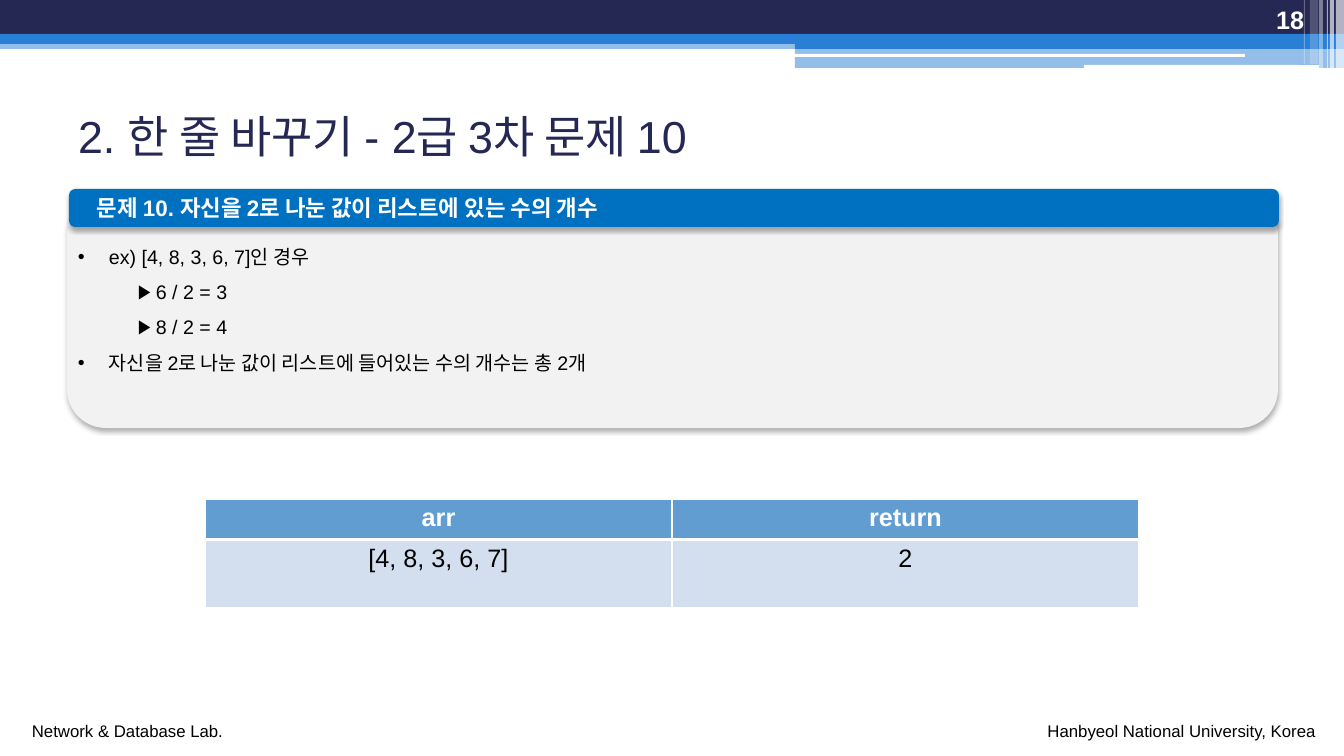
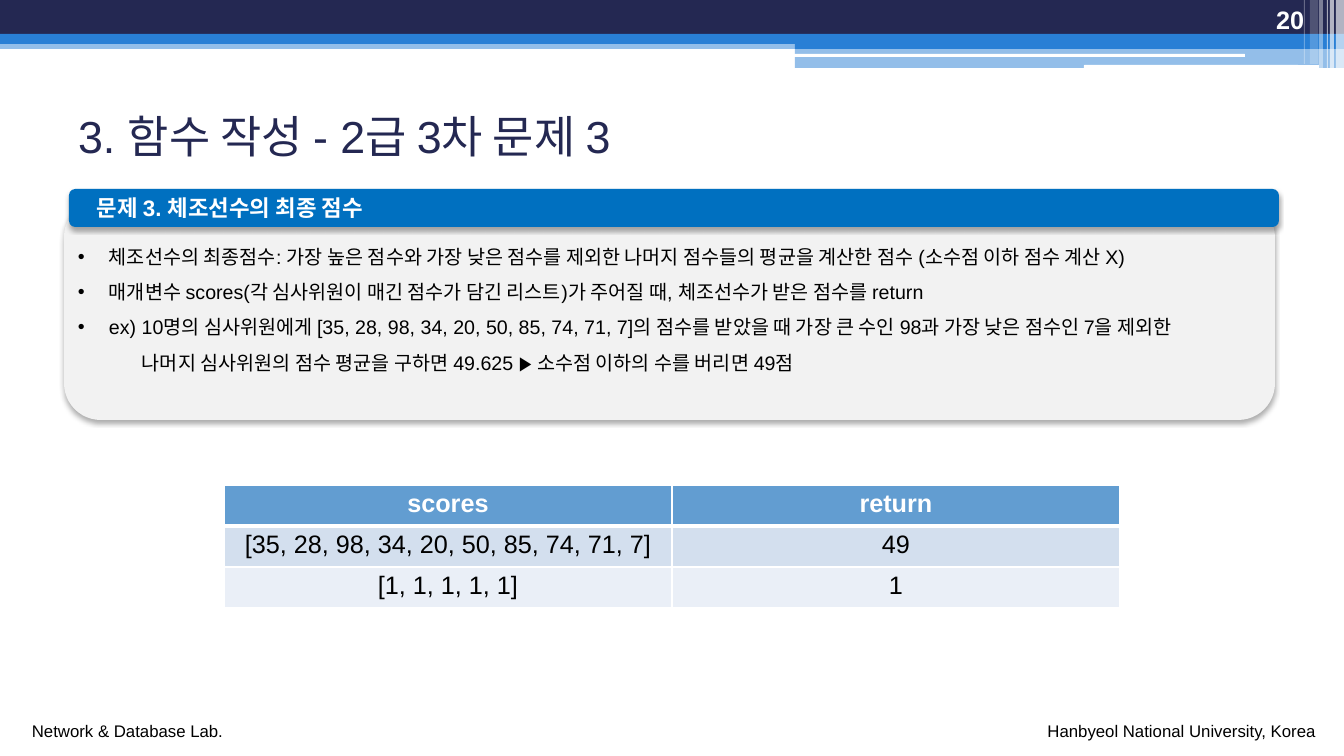
from dataclasses import dataclass

from lxml import etree
from pptx import Presentation
from pptx import util as u
from pptx.dml.color import RGBColor
from pptx.enum import shapes, text
from pptx.oxml.ns import qn

SLIDE_W, SLIDE_H = 1344, 756
SCALE = 12192000 / SLIDE_W
RECT = shapes.MSO_SHAPE.RECTANGLE
ROUND = shapes.MSO_SHAPE.ROUNDED_RECTANGLE
LEFT, CENTER, RIGHT = (text.PP_ALIGN.LEFT, text.PP_ALIGN.CENTER,
                       text.PP_ALIGN.RIGHT)
TOP, MIDDLE, BOTTOM = (text.MSO_ANCHOR.TOP, text.MSO_ANCHOR.MIDDLE,
                       text.MSO_ANCHOR.BOTTOM)


@dataclass(frozen=True)
class Theme:
    font: str = "Arial"
    navy: str = "242852"
    blue: str = "297FD5"
    heading: str = "0070C0"
    panel: str = "F2F2F2"
    table_head: str = "629DD1"
    table_rows: tuple = ("D3DFEE", "EAEFF7")
    white: str = "FFFFFF"
    black: str = "000000"
    title_size: int = 32
    table_size: int = 18
    number_size: int = 18
    heading_size: int = 16
    body_size: int = 14
    footer_size: int = 12


T = Theme()

# paragraph kind: left margin, first-line indent, bullet
KINDS = {
    "item": (31, -31, "•"),
    "step": (78, -18, "▶"),
    "more": (64, 0, None),
}

# left, top, width, height, colour, opacity in percent, shape
BANDS = [
    (0, 40, SLIDE_W, 9, T.blue, 50, RECT),
    (0, 0, SLIDE_W, 34, T.navy, 100, RECT),
    (0, 34, SLIDE_W, 10, T.blue, 100, RECT),
    (795, 39, 549, 10, T.blue, 100, RECT),
    (795, 49, 549, 19, T.blue, 50, RECT),
    (794, 54, 451, 3, T.white, 100, ROUND),
    (1084, 65, 235, 4, T.white, 100, ROUND),
]
# left, width, height, opacity in percent
STRIPES = [(1336, 8, 68, 65), (1330, 4, 68, 65), (1327, 1, 68, 60),
           (1319, 4, 68, 40), (1310, 8, 64, 20), (1304, 1, 64, 30)]

FOOTERS = [
    ((22, 716, 213, 30), "Network & Database Lab.", LEFT),
    ((1030, 716, 296, 30), "Hanbyeol National University, Korea", RIGHT),
]

PROBLEMS = [
    dict(
        number="18",
        title="2. 한 줄 바꾸기 - 2급 3차 문제 10",
        heading="문제 10. 자신을 2로 나눈 값이 리스트에 있는 수의 개수",
        panel=(67, 195, 1211, 233),
        body=[
            ("item", "ex) [4, 8, 3, 6, 7]인 경우"),
            ("step", "6 / 2 = 3"),
            ("step", "8 / 2 = 4"),
            ("item", "자신을 2로 나눈 값이 리스트에 들어있는 수의 개수는 총 2개"),
        ],
        table_box=(205, 499, 934),
        row_heights=[40, 68],
        rows=[("arr", "return"), ("[4, 8, 3, 6, 7]", "2")],
    ),
    dict(
        number="20",
        title="3. 함수 작성 - 2급 3차 문제 3",
        heading="문제 3. 체조선수의 최종 점수",
        panel=(64, 200, 1211, 220),
        body=[
            ("item", "체조선수의 최종점수: 가장 높은 점수와 가장 낮은 점수를 제외한 "
                     "나머지 점수들의 평균을 계산한 점수 (소수점 이하 점수 계산 X)"),
            ("item", "매개변수 scores(각 심사위원이 매긴 점수가 담긴 리스트)가 "
                     "주어질 때, 체조선수가 받은 점수를 return"),
            ("item", "ex) 10명의 심사위원에게 [35, 28, 98, 34, 20, 50, 85, 74, 71, 7]의 "
                     "점수를 받았을 때 가장 큰 수인 98과 가장 낮은 점수인 7을 제외한"),
            ("more", "나머지 심사위원의 점수 평균을 구하면 49.625 ▶ "
                     "소수점 이하의 수를 버리면 49점"),
        ],
        table_box=(224, 485, 896),
        row_heights=[41, 41, 41],
        rows=[("scores", "return"),
              ("[35, 28, 98, 34, 20, 50, 85, 74, 71, 7]", "49"),
              ("[1, 1, 1, 1, 1]", "1")],
    ),
]


def px(n):
    return u.Emu(round(n * SCALE))


def add_xml(parent, tag, **attrs):
    child = etree.SubElement(parent, qn(tag))
    for name, value in attrs.items():
        child.set(name, str(value))
    return child


def write(p, words, size, color, bold=False, align=LEFT):
    p.alignment = align
    r = p.add_run()
    r.text = words
    for name, value in dict(name=T.font, size=u.Pt(size), bold=bold).items():
        setattr(r.font, name, value)
    r.font.color.rgb = RGBColor.from_string(color)


def add_block(parts, box, color, opacity=100, kind=RECT):
    sp = parts.add_shape(kind, *map(px, box))
    sp.shadow.inherit = False
    sp.line.fill.background()
    sp.fill.solid()
    sp.fill.fore_color.rgb = RGBColor.from_string(color)
    if opacity < 100:
        clr = sp.fill._xPr.find(qn("a:solidFill"))[0]
        add_xml(clr, "a:alpha", val=opacity * 1000)
    return sp


def add_card_block(parts, box, color):
    """Rounded block with a soft shadow below it."""
    sp = add_block(parts, box, color, kind=ROUND)
    effects = sp._element.spPr.find(qn("a:effectLst"))
    shadow = add_xml(effects, "a:outerShdw", blurRad=u.Pt(3.5),
                     dist=u.Pt(2.2), dir=90 * 60000, rotWithShape=0)
    clr = add_xml(shadow, "a:srgbClr", val=T.black)
    add_xml(clr, "a:alpha", val=32000)
    return sp


def add_label(parts, box, words, size, color, bold=False, align=LEFT,
              anchor=TOP, wrap=True):
    tf = parts.add_textbox(*map(px, box)).text_frame
    tf.word_wrap = wrap
    tf.vertical_anchor = anchor
    write(tf.paragraphs[0], words, size, color, bold, align)


def add_frame(s, number):
    """Bands, stripes, page number and footers common to all slides."""
    for *box, color, opacity, kind in BANDS:
        add_block(s.shapes, box, color, opacity, kind)
    for left, width, height, opacity in STRIPES:
        add_block(s.shapes, (left, 0, width, height), T.white, opacity)
    for box, words, align in FOOTERS:
        add_label(s.shapes, box, words, T.footer_size, T.black,
                  align=align, wrap=False)
    add_label(s.shapes, (1202, 0, 112, 40), number, T.number_size, T.white,
              bold=True, align=RIGHT, anchor=BOTTOM)


def set_title(s, box, words):
    title = s.shapes.title
    for name, value in zip(("left", "top", "width", "height"), box):
        setattr(title, name, px(value))
    tf = title.text_frame
    tf.auto_size = text.MSO_AUTO_SIZE.NONE
    tf.vertical_anchor = MIDDLE
    write(tf.paragraphs[0], words, T.title_size, T.navy)


def write_body(tf, body):
    tf.word_wrap = True
    for i, (kind, words) in enumerate(body):
        p = tf.add_paragraph() if i else tf.paragraphs[0]
        p.line_spacing = 1.5
        write(p, words, T.body_size, T.black)
        margin, indent, bullet = KINDS[kind]
        pPr = p._p.get_or_add_pPr()
        pPr.set("marL", str(px(margin)))
        pPr.set("indent", str(px(indent)))
        if bullet:
            add_xml(pPr, "a:buFont", typeface=T.font)
            add_xml(pPr, "a:buChar", char=bullet)


def add_card(s, box, panel, heading, body):
    """Heading bar at the top of box, with the body text under it."""
    left, top, width, bar_height = box
    parts = s.shapes.add_group_shape().shapes
    add_card_block(parts, panel, T.panel)
    tf = add_card_block(parts, box, T.heading).text_frame
    tf.margin_left = px(26)
    tf.vertical_anchor = MIDDLE
    write(tf.paragraphs[0], heading, T.heading_size, T.white, bold=True)
    body_box = (left - 1, top + bar_height + 1, width + 6, 148)
    write_body(parts.add_textbox(*map(px, body_box)).text_frame, body)


def format_cell(cell, words, fill, color, is_head):
    tcPr = cell._tc.get_or_add_tcPr()
    for side in "LRTB":
        weight = 3 if is_head and side == "B" else 1
        ln = add_xml(tcPr, "a:ln" + side, w=u.Pt(weight))
        add_xml(add_xml(ln, "a:solidFill"), "a:srgbClr", val=T.white)
    cell.fill.solid()
    cell.fill.fore_color.rgb = RGBColor.from_string(fill)
    write(cell.text_frame.paragraphs[0], words, T.table_size, color,
          bold=is_head, align=CENTER)


def add_example_table(s, box, row_heights, rows):
    left, top, width = box
    columns = len(rows[0])
    table = s.shapes.add_table(
        len(rows), columns, px(left), px(top), px(width),
        px(sum(row_heights))).table
    table.horz_banding = False
    for column in table.columns:
        column.width = px(width / columns)
    for i, (height, row) in enumerate(zip(row_heights, rows)):
        table.rows[i].height = px(height)
        is_head = i == 0
        fill = T.table_head if is_head else T.table_rows[(i - 1) % 2]
        color = T.white if is_head else T.black
        for j, words in enumerate(row):
            format_cell(table.cell(i, j), words, fill, color, is_head)


def add_problem_slide(prs, problem):
    s = prs.slides.add_slide(prs.slide_layouts.get_by_name("Title Only"))
    add_frame(s, problem["number"])
    set_title(s, (68, 98, 1210, 75), problem["title"])
    add_card(s, (69, 189, 1210, 38), problem["panel"], problem["heading"],
             problem["body"])
    add_example_table(s, problem["table_box"], problem["row_heights"],
                      problem["rows"])


def main():
    prs = Presentation()
    prs.slide_width, prs.slide_height = px(SLIDE_W), px(SLIDE_H)
    for problem in PROBLEMS:
        add_problem_slide(prs, problem)
    prs.save("out.pptx")


if __name__ == "__main__":
    main()
